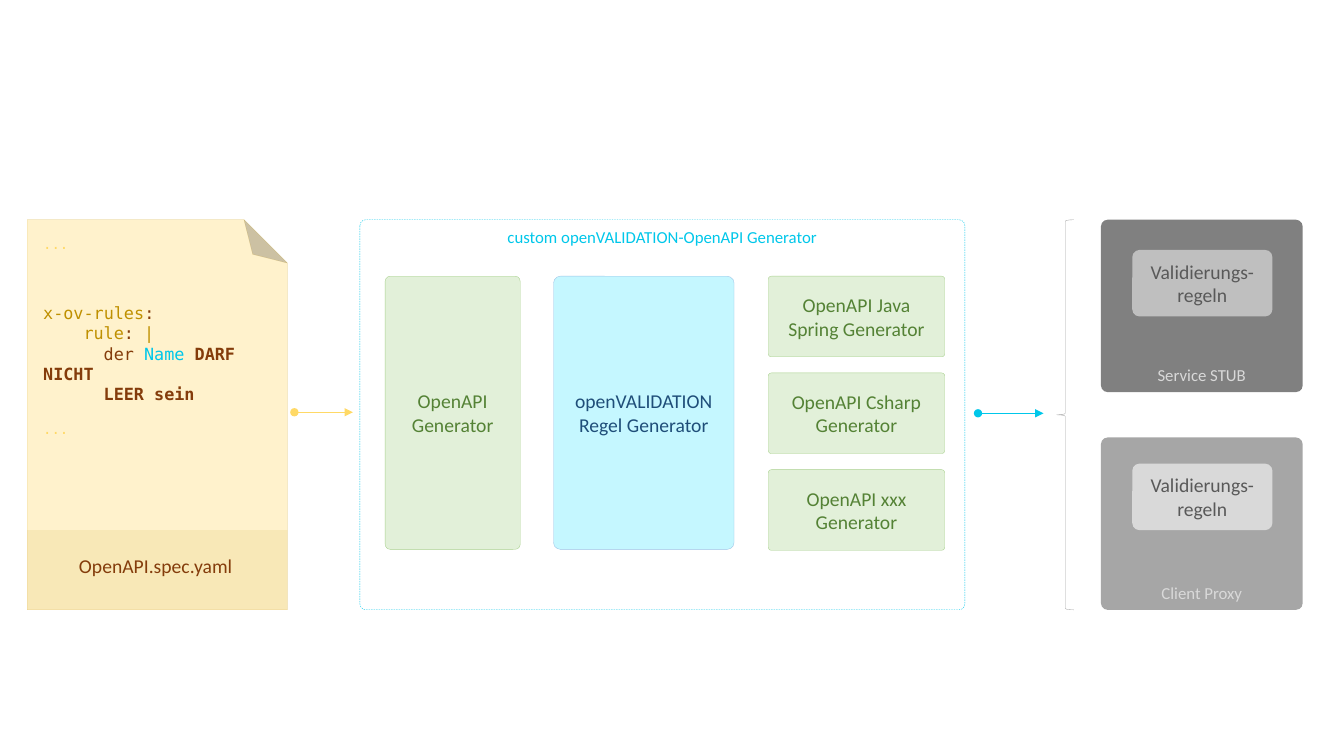
from lxml.etree import SubElement
from pptx import Presentation
from pptx.dml.color import RGBColor
from pptx.enum.dml import MSO_LINE
from pptx.enum.shapes import MSO_CONNECTOR, MSO_SHAPE
from pptx.enum.text import MSO_ANCHOR, PP_ALIGN
from pptx.oxml.ns import qn
from pptx.util import Pt

PX = 9144
SANS = "Calibri"
MONO = "DejaVu Sans Mono"

CYAN = RGBColor(0x00, 0xC7, 0xEA)
PALE_CYAN = RGBColor(0xC5, 0xF7, 0xFF)
SKY = RGBColor(0x9D, 0xC3, 0xE6)
NAVY = RGBColor(0x1F, 0x4E, 0x79)
PALE_GREEN = RGBColor(0xE2, 0xF0, 0xD9)
GREEN = RGBColor(0xA9, 0xD1, 0x8E)
DARK_GREEN = RGBColor(0x54, 0x82, 0x35)
CREAM = RGBColor(0xFF, 0xF2, 0xCC)
YELLOW = RGBColor(0xFF, 0xD9, 0x66)
OCHRE = RGBColor(0xBF, 0x90, 0x00)
BROWN = RGBColor(0x84, 0x3C, 0x0B)
CHARCOAL = RGBColor(0x59, 0x59, 0x59)
GRAY = RGBColor(0x80, 0x80, 0x80)
MID_GRAY = RGBColor(0xA6, 0xA6, 0xA6)
SILVER = RGBColor(0xBF, 0xBF, 0xBF)
LIGHT_GRAY = RGBColor(0xD9, 0xD9, 0xD9)


def emu(*lengths):
    return [length * PX for length in lengths]


def set_alpha(color_format_owner, percent):
    color = next(color_format_owner.iter(qn("a:srgbClr")))
    SubElement(color, qn("a:alpha")).set("val", str(percent * 1000))


def add_panel(slide, kind, box, fill=None, line=None, radius=None):
    panel = slide.shapes.add_shape(kind, *emu(*box))
    panel.shadow.inherit = False
    if radius is not None:
        panel.adjustments[0] = radius
    if fill is None:
        panel.fill.background()
    else:
        panel.fill.solid()
        panel.fill.fore_color.rgb = fill
    if line is None:
        panel.line.fill.background()
    else:
        panel.line.color.rgb = line
        panel.line.width = Pt(0.25)
    return panel


def write_label(panel, text, size, color, anchor=MSO_ANCHOR.MIDDLE):
    frame = panel.text_frame
    frame.word_wrap = True
    frame.vertical_anchor = anchor
    frame.text = text
    for paragraph in frame.paragraphs:
        paragraph.alignment = PP_ALIGN.CENTER
        paragraph.font.name = SANS
        paragraph.font.size = Pt(size)
        paragraph.font.color.rgb = color


def add_arrow(slide, left, right, y, color):
    arrow = slide.shapes.add_connector(MSO_CONNECTOR.STRAIGHT, *emu(left, y, right, y))
    arrow.line.color.rgb = color
    arrow.line.width = Pt(0.25)
    outline = arrow.line._get_or_add_ln()
    SubElement(outline, qn("a:headEnd")).set("type", "oval")
    SubElement(outline, qn("a:tailEnd")).set("type", "triangle")
    SubElement(arrow._element.spPr, qn("a:effectLst"))


def add_rules(slide, box):
    rules = slide.shapes.add_textbox(*emu(*box)).text_frame
    rules.word_wrap = True
    lines = [
        (10, 0, 0, [("...", YELLOW, False)]),
        (12, 0, 36, [("x-ov-rules", OCHRE, False), (":", BROWN, False)]),
        (12, 40, 0, [("rule", OCHRE, False), (": ", BROWN, False), ("|", OCHRE, False)]),
        (12, 60, 0, [("der ", BROWN, False), ("Name ", CYAN, False), ("DARF NICHT", BROWN, True)]),
        (12, 60, 0, [("LEER sein", BROWN, True)]),
        (10, 0, 12, [("...", YELLOW, False)]),
    ]
    for number, (size, indent, space, words) in enumerate(lines):
        paragraph = rules.add_paragraph() if number else rules.paragraphs[0]
        paragraph.font.name = MONO
        paragraph.font.size = Pt(size)
        paragraph.space_before = Pt(space)
        properties = paragraph._p.get_or_add_pPr()
        properties.set("marL", "0")
        properties.set("indent", str(indent * PX))
        for text, color, bold in words:
            word = paragraph.add_run()
            word.text = text
            word.font.color.rgb = color
            word.font.bold = bold


def add_spec_file(slide, left, top, width, height):
    page = add_panel(slide, MSO_SHAPE.FOLDED_CORNER, (left, top, width, height), CREAM, OCHRE)
    page._element.spPr.xfrm.set("flipV", "1")
    set_alpha(page.line._get_or_add_ln(), 24)
    band_height = 79
    band = add_panel(slide, MSO_SHAPE.RECTANGLE,
                     (left, top + height - band_height, width, band_height), OCHRE)
    set_alpha(band._element.spPr, 10)
    file_name = slide.shapes.add_textbox(*emu(left + 34, top + 327, 187, 34))
    write_label(file_name, "OpenAPI.spec.yaml", 14, BROWN, MSO_ANCHOR.TOP)
    add_rules(slide, (left + 6, top + 11, 262, 192))


def add_generators(slide, left, top, width, height):
    frame = add_panel(slide, MSO_SHAPE.ROUNDED_RECTANGLE, (left, top, width, height),
                      line=CYAN, radius=0.015)
    frame.line.dash_style = MSO_LINE.DASH
    write_label(frame, "custom openVALIDATION-OpenAPI Generator", 12, CYAN, MSO_ANCHOR.TOP)

    inner_top, inner_height = top + 56, 271
    target_height, target_pitch = 80, 96
    generators = [
        ("OpenAPI Generator", 25, 0, 134, inner_height, PALE_GREEN, GREEN, DARK_GREEN),
        ("openVALIDATION\nRegel Generator", 192, 0, 179, inner_height, PALE_CYAN, SKY, NAVY),
    ]
    targets = ["OpenAPI Java Spring Generator", "OpenAPI Csharp\nGenerator", "OpenAPI xxx\nGenerator"]
    for row, target in enumerate(targets):
        generators.append((target, 405, row * target_pitch, 175, target_height,
                           PALE_GREEN, GREEN, DARK_GREEN))
    for text, x, y, box_width, box_height, fill, line, color in generators:
        generator = add_panel(slide, MSO_SHAPE.ROUNDED_RECTANGLE,
                              (left + x, inner_top + y, box_width, box_height), fill, line, 0.038)
        write_label(generator, text, 14, color)


def add_output(slide, left, top, width, height, name, fill, rules_fill, rules_offset):
    output = add_panel(slide, MSO_SHAPE.ROUNDED_RECTANGLE, (left, top, width, height),
                       fill, radius=0.038)
    write_label(output, name, 12, LIGHT_GRAY, MSO_ANCHOR.BOTTOM)
    rules = add_panel(slide, MSO_SHAPE.ROUNDED_RECTANGLE,
                      (left + 31, top + rules_offset, 139, 66), rules_fill, radius=0.109)
    write_label(rules, "Validierungs-regeln", 14, CHARCOAL)


def add_outputs(slide, left, top, width, height):
    brace = add_panel(slide, MSO_SHAPE.RIGHT_BRACE, (left, top, 17, height), line=MID_GRAY)
    brace.rotation = 180
    box_left, box_width, box_height = left + 44, width - 44, 171
    add_output(slide, box_left, top, box_width, box_height, "Service STUB", GRAY, SILVER, 30)
    add_output(slide, box_left, top + height - box_height, box_width, box_height,
               "Client Proxy", MID_GRAY, LIGHT_GRAY, 26)


def main():
    deck = Presentation()
    deck.slide_width, deck.slide_height = emu(1333, 750)
    slide = deck.slides.add_slide(deck.slide_layouts[6])
    top, height = 218, 387
    add_spec_file(slide, 27, top, 258, height)
    add_arrow(slide, 292, 350, 409, YELLOW)
    add_generators(slide, 357, top, 600, height)
    add_arrow(slide, 970, 1035, 410, CYAN)
    add_outputs(slide, 1048, top, 244, height)
    deck.save("out.pptx")


if __name__ == "__main__":
    main()
